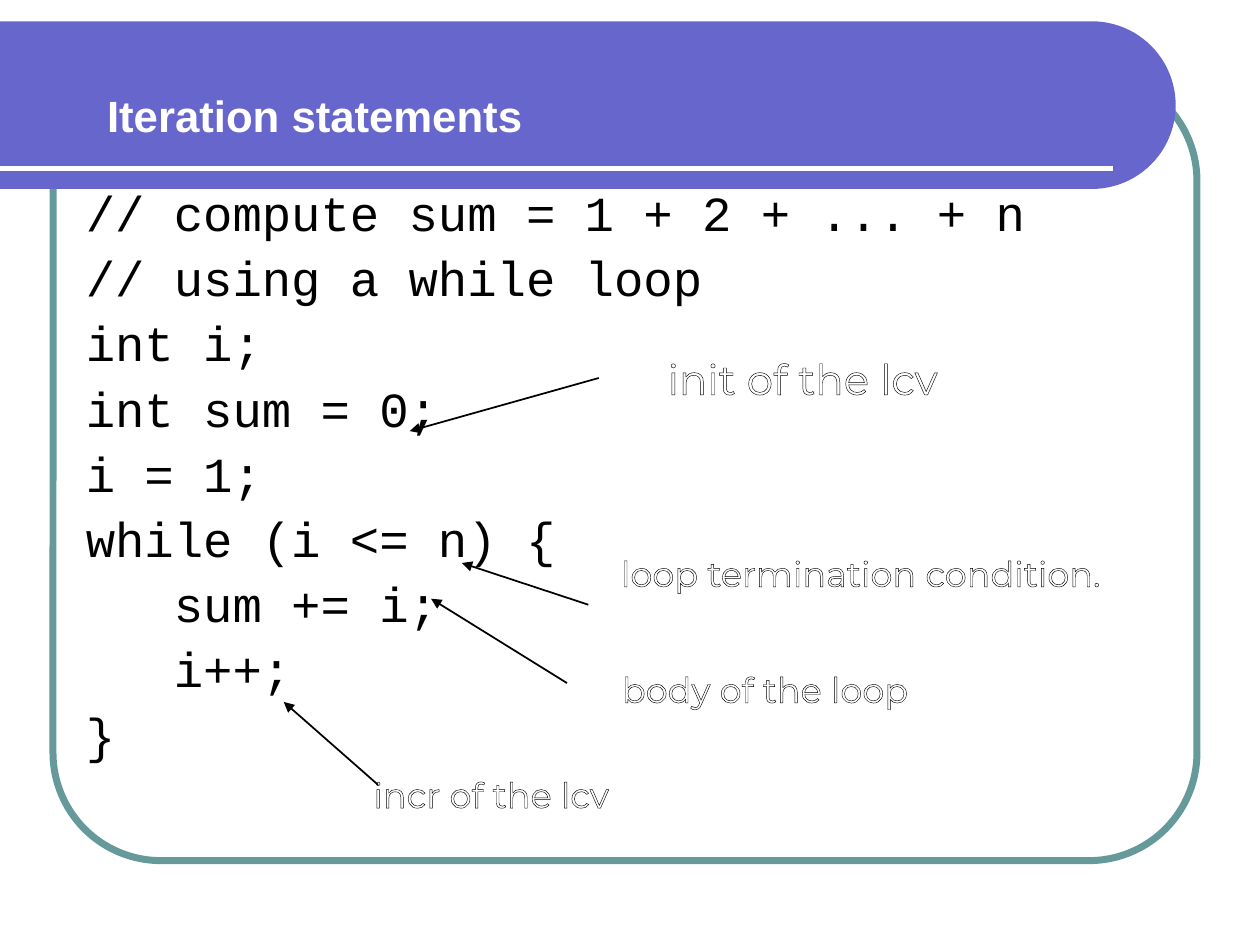
from lxml.etree import SubElement
from pptx import Presentation
from pptx.dml.color import RGBColor
from pptx.enum.shapes import MSO_CONNECTOR as Connector, MSO_SHAPE as Shape
from pptx.enum.text import MSO_ANCHOR as Anchor
from pptx.oxml import parse_xml
from pptx.oxml.ns import nsdecls, qn
from pptx.util import Cm, Pt

TITLE = "Iteration statements"
CODE = [
    "// compute sum = 1 + 2 + ... + n",
    "// using a while loop",
    "int i;",
    "int sum = 0;",
    "i = 1;",
    "while (i <= n) {",
    "   sum += i;",
    "   i++;",
    "}",
]
NOTES = [
    ("init of the lcv", 24, (13.21, 6.99, 6.12, 1.19), (12.07, 7.62), (8.26, 8.69)),
    ("loop termination condition.", 20, (12.27, 11, 10.57, 1.02), (11.86, 12.19), (9.31, 11.35)),
    ("body of the loop", 20, (12.29, 13.34, 6.3, 1.02), (11.43, 13.77), (8.69, 12.07)),
    ("incr of the lcv", 20, (7.28, 15.46, 5.44, 1.02), (7.62, 15.82), (5.72, 14.15)),
]
BLACK, WHITE, PURPLE, TEAL = "000000", "FFFFFF", "6666CC", "669999"


def color(value):
    return RGBColor.from_string(value)


def add_text(lines, box, font_name, size, text_color, wrap=True, bold=False):
    shape = slide.shapes.add_textbox(*map(Cm, box))
    frame = shape.text_frame
    frame.word_wrap = wrap
    frame.text = "\n".join(lines)
    for paragraph in frame.paragraphs:
        font = paragraph.runs[0].font
        font.name, font.size, font.bold = font_name, Pt(size), bold
        font.color.rgb = color(text_color)
    return frame


def add_line(start, end, line_color, width, arrow=False):
    line = slide.shapes.add_connector(Connector.STRAIGHT, *map(Cm, start + end))
    line.line.color.rgb = color(line_color)
    line.line.width = Pt(width)
    if arrow:
        SubElement(line.line._get_or_add_ln(), qn("a:tailEnd"), type="triangle")
    SubElement(line._element.spPr, qn("a:effectLst"))


def outline_text(run):
    run._r.get_or_add_rPr().insert(0, parse_xml(
        f'<a:ln {nsdecls("a")} w="9525"><a:solidFill>'
        f'<a:srgbClr val="{BLACK}"/></a:solidFill></a:ln>'))


presentation = Presentation()
presentation.slide_width, presentation.slide_height = Cm(25.4), Cm(19.05)
slide = presentation.slides.add_slide(presentation.slide_layouts[6])

border = slide.shapes.add_shape(Shape.ROUNDED_RECTANGLE, *map(Cm, (1.07, 1.47, 23.06, 15.88)))
border.adjustments[0] = 0.137
border.shadow.inherit = False
border.fill.background()
border.line.color.rgb = color(TEAL)
border.line.width = Pt(4)

banner_width, banner_height, banner_top = 23.7, 3.38, 0.43
turn_offset = (banner_width - banner_height) / 2
banner = slide.shapes.add_shape(
    Shape.ROUND_2_SAME_RECTANGLE,
    *map(Cm, (turn_offset, banner_top - turn_offset, banner_height, banner_width)))
banner.rotation = 90
banner.adjustments[0] = 0.5
banner.shadow.inherit = False
banner.fill.solid()
banner.fill.fore_color.rgb = color(PURPLE)
banner.line.fill.background()
add_line((0, 3.39), (22.43, 3.39), WHITE, 3)

title = add_text([TITLE], (1.91, 1.51, 21.59, 1.47), "Arial", 25, WHITE, bold=True)
title.vertical_anchor = Anchor.BOTTOM

code = add_text(CODE, (1.48, 3.69, 21.59, 12.5), "Courier New", 28, BLACK)
for number, paragraph in enumerate(code.paragraphs):
    paragraph.line_spacing = 0.9
    paragraph.space_before = Pt(7 if number else 0)

for text, size, box, start, end in NOTES:
    note = add_text([text], box, "Montserrat", size, WHITE, wrap=False)
    outline_text(note.paragraphs[0].runs[0])
    add_line(start, end, BLACK, 1, arrow=True)

presentation.save("out.pptx")
